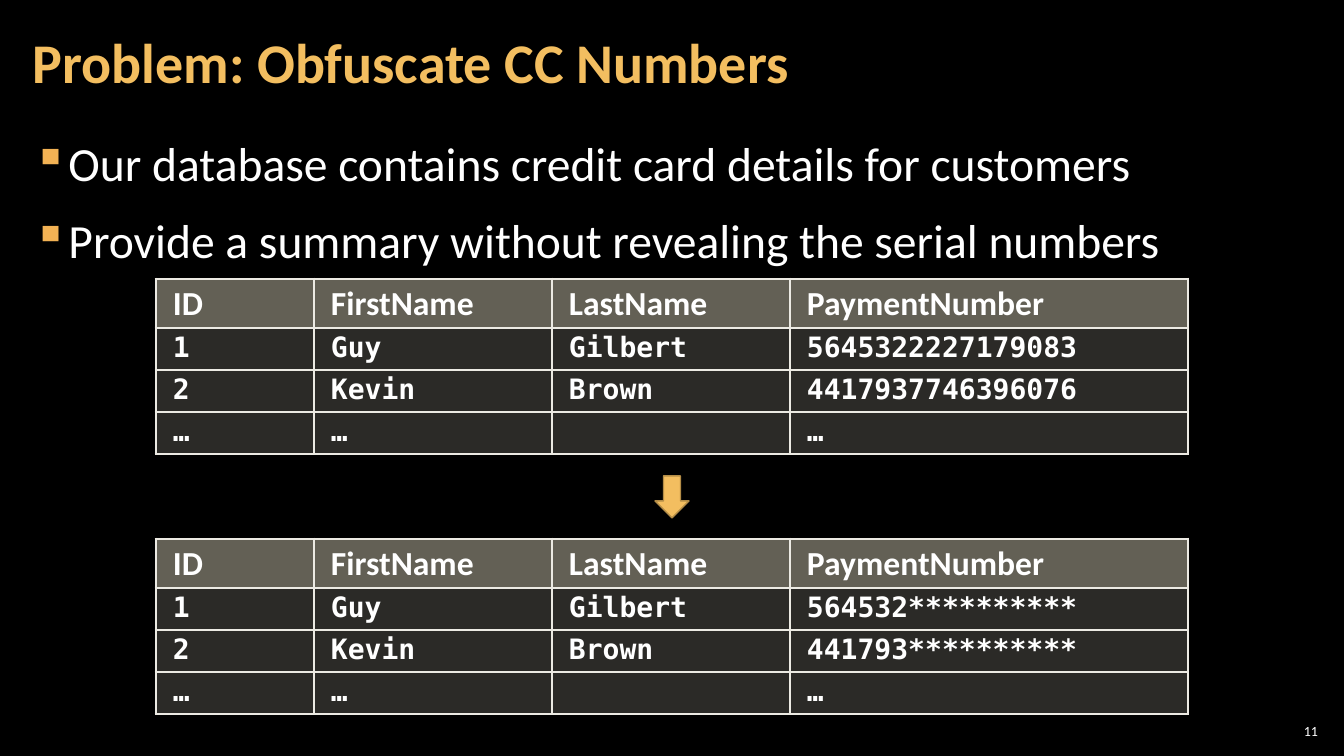
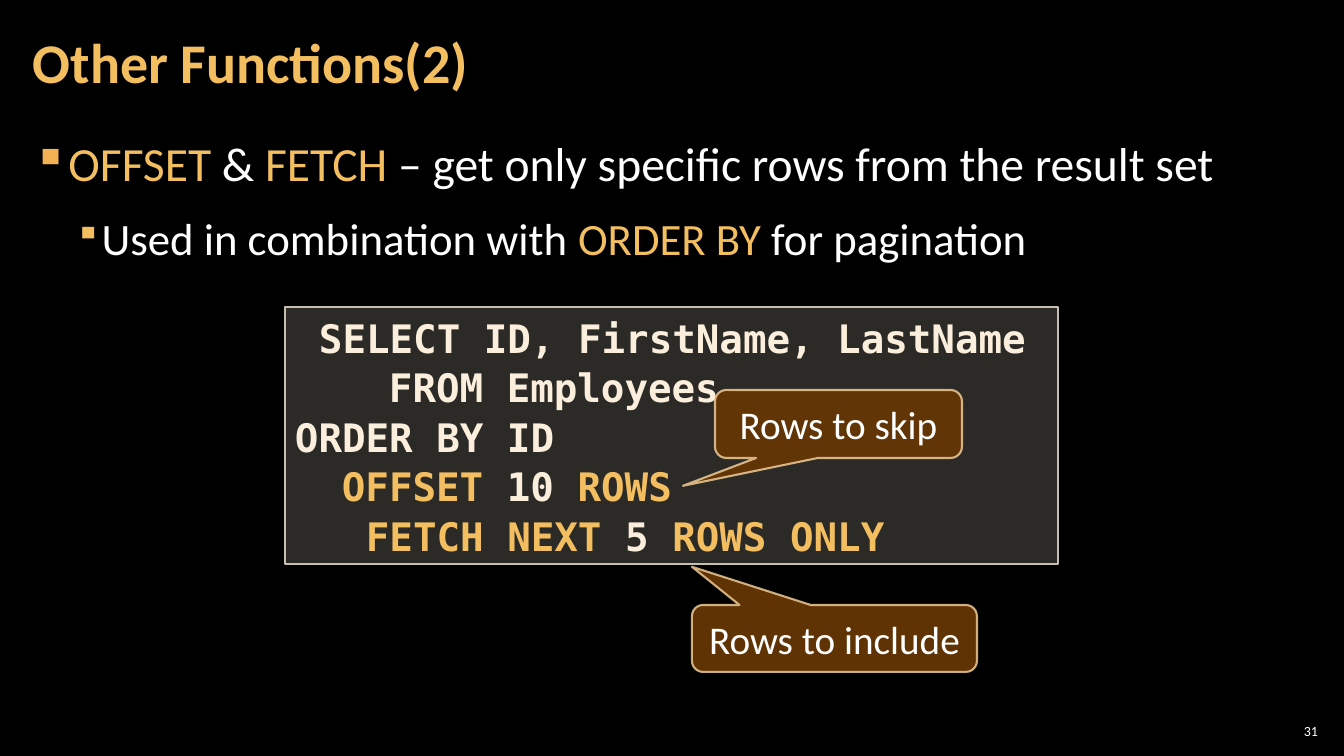
from lxml.etree import SubElement
from pptx import Presentation
from pptx.dml.color import RGBColor
from pptx.enum.shapes import MSO_SHAPE
from pptx.enum.text import MSO_ANCHOR, PP_ALIGN
from pptx.oxml.ns import qn
from pptx.util import Emu, Pt

EMU_PER_PX = 914400 / 100.8
TEXT_FONT = "Calibri"
CODE_FONT = "DejaVu Sans Mono"
CODE_CHARACTER_PX = 23.6
BLACK = "000000"
WHITE = "FFFFFF"
GOLD = "F3BE60"
BULLET_GOLD = "F2B254"
ARROW_EDGE = "B48D47"
CREAM = "FBEEDC"
HEADER_FILL = "C6C0AA"
PANEL_FILL = "D9D5C7"
PANEL_EDGE = "C7BFAC"
TABLE_BORDER = "ECEAE3"
CALLOUT_FILL = "663606"
CALLOUT_EDGE = "F8D49E"
COLUMN_WIDTHS = (158, 238, 238, 398)
ROW_HEIGHTS = (49, 42, 42, 42)
BULLET_LEVELS = (
    {"size": 34, "left": 33, "hanging": 33, "color": BULLET_GOLD, "percent": 100},
    {"size": 32, "left": 67, "hanging": 25, "color": GOLD, "percent": 80},
)


def px(length):
    return Emu(round(length * EMU_PER_PX))


def rgb(color):
    return RGBColor.from_string(color)


def paint(fill, color):
    fill.solid()
    fill.fore_color.rgb = rgb(color)


def set_opacity(properties, percent):
    color = properties.find(qn("a:solidFill")).find(qn("a:srgbClr"))
    SubElement(color, qn("a:alpha"), val=str(percent * 1000))


def set_indent(paragraph, left, hanging=0):
    properties = paragraph._p.get_or_add_pPr()
    properties.set("marL", str(px(left)))
    properties.set("indent", str(px(-hanging)))
    return properties


def add_runs(paragraph, runs, size, font=TEXT_FONT, bold=False):
    for text, color in runs:
        run = paragraph.add_run()
        run.text = text
        run.font.name = font
        run.font.size = Pt(size)
        run.font.bold = bold
        run.font.color.rgb = rgb(color)


def set_frame(frame, horizontal, vertical, anchor=MSO_ANCHOR.TOP):
    frame.word_wrap = True
    frame.margin_left = frame.margin_right = px(horizontal)
    frame.margin_top = frame.margin_bottom = px(vertical)
    frame.vertical_anchor = anchor


def paragraphs_for(frame, items):
    for index, item in enumerate(items):
        yield (frame.add_paragraph() if index else frame.paragraphs[0]), item


def add_text_box(slide, box, horizontal, anchor=MSO_ANCHOR.TOP):
    frame = slide.shapes.add_textbox(*map(px, box)).text_frame
    set_frame(frame, horizontal, 4, anchor)
    return frame


def add_slide(presentation, title, number):
    slide = presentation.slides.add_slide(presentation.slide_layouts[6])
    title_frame = add_text_box(slide, (21, 4, 1055, 122), 12, MSO_ANCHOR.MIDDLE)
    paragraph = title_frame.paragraphs[0]
    paragraph.line_spacing = 0.9
    add_runs(paragraph, [(title, GOLD)], 40, bold=True)
    number_frame = add_text_box(slide, (1275, 720, 47, 21), 4, MSO_ANCHOR.MIDDLE)
    paragraph = number_frame.paragraphs[0]
    paragraph.alignment = PP_ALIGN.RIGHT
    add_runs(paragraph, [(number, WHITE)], 10)
    return slide


def add_bullets(slide, bullets):
    frame = add_text_box(slide, (21, 127, 1301, 614), 12)
    for paragraph, (level, runs) in paragraphs_for(frame, bullets):
        style = BULLET_LEVELS[level]
        paragraph.level = level
        paragraph.line_spacing = 1.05
        paragraph.space_before = paragraph.space_after = Pt(6)
        properties = set_indent(paragraph, style["left"], style["hanging"])
        bullet_color = SubElement(properties, qn("a:buClr"))
        SubElement(bullet_color, qn("a:srgbClr"), val=style["color"])
        SubElement(properties, qn("a:buSzPct"), val=str(style["percent"] * 1000))
        SubElement(properties, qn("a:buChar"), char="▪")
        add_runs(paragraph, runs, style["size"])


def set_borders(cell):
    properties = cell._tc.get_or_add_tcPr()
    for index, side in enumerate(("lnL", "lnR", "lnT", "lnB")):
        border = SubElement(properties, qn(f"a:{side}"), w=str(Pt(2.25)))
        fill = SubElement(border, qn("a:solidFill"))
        SubElement(fill, qn("a:srgbClr"), val=TABLE_BORDER)
        properties.insert(index, border)


def add_cell(cell, text, is_header):
    paint(cell.fill, HEADER_FILL if is_header else PANEL_FILL)
    set_opacity(cell._tc.get_or_add_tcPr(), 50 if is_header else 20)
    set_borders(cell)
    cell.margin_left = cell.margin_right = px(17)
    cell.margin_top = cell.margin_bottom = px(5)
    if text:
        paragraph = cell.text_frame.paragraphs[0]
        paragraph.line_spacing = 0.95
        size, font = (24, TEXT_FONT) if is_header else (20, CODE_FONT)
        add_runs(paragraph, [(text, WHITE)], size, font, bold=True)


def add_payment_table(slide, top, payment_numbers):
    rows = (
        ("ID", "FirstName", "LastName", "PaymentNumber"),
        ("1", "Guy", "Gilbert", payment_numbers[0]),
        ("2", "Kevin", "Brown", payment_numbers[1]),
        ("…", "…", "", "…"),
    )
    box = (156, top, sum(COLUMN_WIDTHS), sum(ROW_HEIGHTS))
    table = slide.shapes.add_table(len(rows), len(COLUMN_WIDTHS), *map(px, box)).table
    table.horz_banding = False
    for column, width in zip(table.columns, COLUMN_WIDTHS):
        column.width = px(width)
    for row_index, (texts, height) in enumerate(zip(rows, ROW_HEIGHTS)):
        table.rows[row_index].height = px(height)
        for column_index, text in enumerate(texts):
            add_cell(table.cell(row_index, column_index), text, row_index == 0)


def add_box(slide, kind, box, fill, edge, edge_width=1):
    shape = slide.shapes.add_shape(kind, *map(px, box))
    shape.shadow.inherit = False
    paint(shape.fill, fill)
    paint(shape.line.fill, edge)
    shape.line.width = Pt(edge_width)
    return shape


def add_code(slide, box, lines):
    shape = add_box(slide, MSO_SHAPE.RECTANGLE, box, PANEL_FILL, PANEL_EDGE)
    set_opacity(shape._element.spPr, 20)
    set_frame(shape.text_frame, 10, 5)
    for paragraph, (indent, runs) in paragraphs_for(shape.text_frame, lines):
        paragraph.alignment = PP_ALIGN.LEFT
        paragraph.line_spacing = 1.05
        set_indent(paragraph, round(indent * CODE_CHARACTER_PX))
        add_runs(paragraph, runs, 28, CODE_FONT, bold=True)


def add_callout(slide, box, tip, text):
    kind = MSO_SHAPE.ROUNDED_RECTANGULAR_CALLOUT
    shape = add_box(slide, kind, box, CALLOUT_FILL, CALLOUT_EDGE, 1.5)
    properties = shape._element.spPr
    set_opacity(properties, 95)
    set_opacity(properties.find(qn("a:ln")), 80)
    shape.adjustments[0], shape.adjustments[1] = tip
    set_frame(shape.text_frame, 10, 5, MSO_ANCHOR.MIDDLE)
    paragraph = shape.text_frame.paragraphs[0]
    paragraph.alignment = PP_ALIGN.CENTER
    add_runs(paragraph, [(text, WHITE)], 28)


def build_obfuscation_slide(presentation):
    slide = add_slide(presentation, "Problem: Obfuscate CC Numbers", "11")
    add_bullets(slide, [
        (0, [("Our database contains credit card details for customers", WHITE)]),
        (0, [("Provide a summary without revealing the serial numbers", WHITE)]),
    ])
    add_payment_table(slide, 279, ("5645322227179083", "4417937746396076"))
    add_payment_table(slide, 539, ("564532**********", "441793**********"))
    add_box(slide, MSO_SHAPE.DOWN_ARROW, (655, 476, 34, 42), GOLD, ARROW_EDGE)


def build_pagination_slide(presentation):
    slide = add_slide(presentation, "Other Functions(2)", "31")
    add_bullets(slide, [
        (0, [("OFFSET ", GOLD), ("&", WHITE), (" FETCH ", GOLD),
             ("– get only specific rows from the result set", WHITE)]),
        (1, [("Used in combination with ", WHITE), ("ORDER BY ", GOLD),
             ("for pagination", WHITE)]),
    ])
    add_code(slide, (285, 307, 773, 257), [
        (1, [("SELECT ID, FirstName, LastName", CREAM)]),
        (4, [("FROM Employees", CREAM)]),
        (0, [("ORDER BY ID", CREAM)]),
        (2, [("OFFSET", GOLD), (" 10 ", CREAM), ("ROWS", GOLD)]),
        (3, [("FETCH NEXT", GOLD), (" 5 ", CREAM), ("ROWS ONLY", GOLD)]),
    ])
    add_callout(slide, (715, 390, 247, 68), (-0.63, 0.91), "Rows to skip")
    add_callout(slide, (692, 605, 285, 67), (-0.5, -1.07), "Rows to include")


def main():
    presentation = Presentation()
    presentation.slide_width = px(1344)
    presentation.slide_height = px(756)
    paint(presentation.slide_master.background.fill, BLACK)
    build_obfuscation_slide(presentation)
    build_pagination_slide(presentation)
    presentation.save("out.pptx")


if __name__ == "__main__":
    main()
